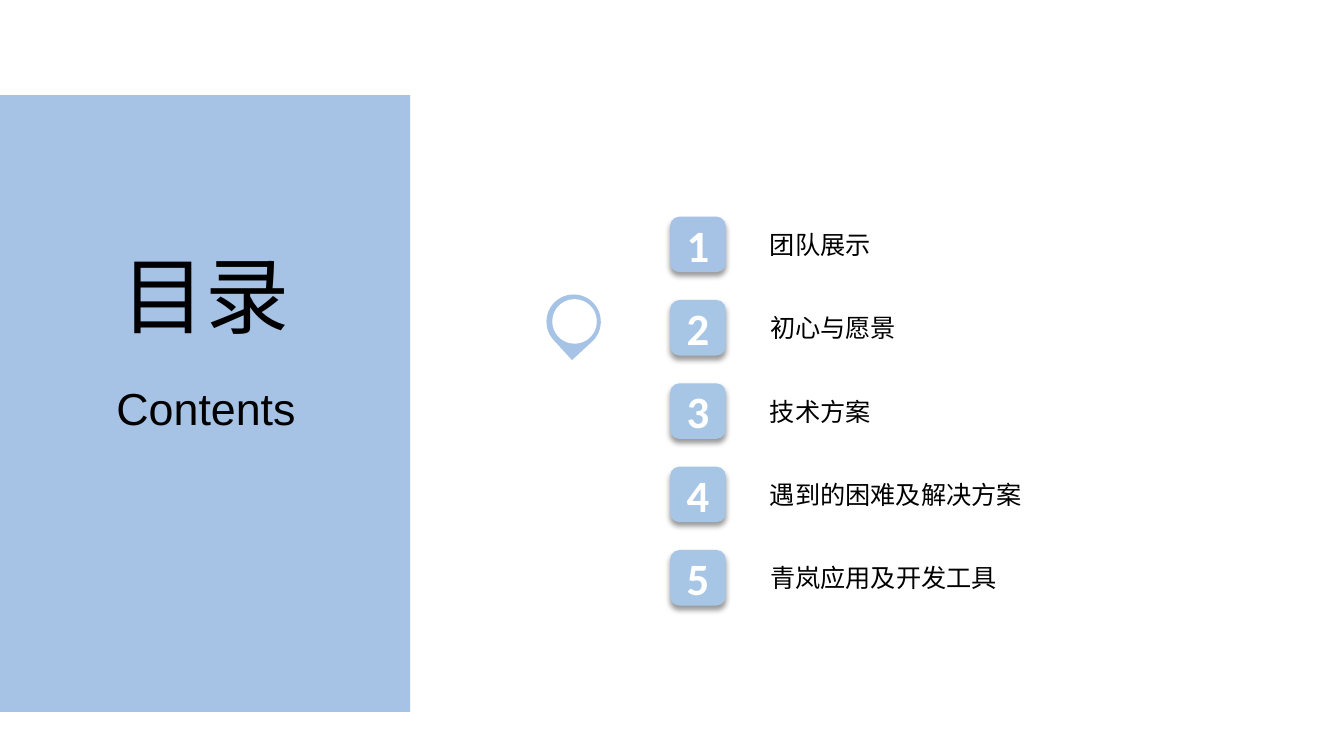
from lxml import etree
from pptx import Presentation
from pptx import util as u
from pptx.dml.color import RGBColor
from pptx.enum import shapes, text
from pptx.oxml.ns import qn

COLORS = {"panel": "A6C3E5", "badge": "A7C6E5", "white": "FFFFFF", "black": "000000"}
CJK = "Noto Sans CJK SC"
TOPICS = ["团队展示", "初心与愿景", "技术方案", "遇到的困难及解决方案", "青岚应用及开发工具"]


def write(frame, content, size, font=CJK, color="black", bold=False):
    """Write one centred paragraph into a text frame."""
    paragraph = frame.paragraphs[0]
    paragraph.alignment = text.PP_ALIGN.CENTER
    run = paragraph.add_run()
    run.text = content
    run.font.size = u.Pt(size)
    run.font.name = font
    run.font.bold = bold
    run.font.color.rgb = RGBColor.from_string(COLORS[color])
    east_asian = etree.SubElement(run.font._element, qn("a:ea"))
    east_asian.set("typeface", font)


def add_block(parent, kind, left, top, width, height, color):
    """Add a flat, borderless preset shape."""
    block = parent.add_shape(kind, u.Cm(left), u.Cm(top), u.Cm(width), u.Cm(height))
    block.fill.solid()
    block.fill.fore_color.rgb = RGBColor.from_string(COLORS[color])
    block.line.fill.background()
    block.shadow.inherit = False
    return block


def add_label(slide, content, left, top, width, height, size, font=CJK):
    """Add a one-line text box that fits its text."""
    box = slide.shapes.add_textbox(u.Cm(left), u.Cm(top), u.Cm(width), u.Cm(height))
    box.text_frame.word_wrap = False
    box.text_frame.auto_size = text.MSO_AUTO_SIZE.SHAPE_TO_FIT_TEXT
    write(box.text_frame, content, size, font)


def add_drop_shadow(block):
    """Give a shape a soft shadow straight below it."""
    effects = block._element.spPr.find(qn("a:effectLst"))
    shadow = etree.SubElement(
        effects, qn("a:outerShdw"), blurRad=str(u.Pt(4)), dist=str(u.Pt(3)),
        dir="5400000", algn="t", rotWithShape="0")
    tint = etree.SubElement(shadow, qn("a:srgbClr"), val=COLORS["black"])
    etree.SubElement(tint, qn("a:alpha"), val="40000")


def add_topic(slide, number, topic):
    """Add a numbered badge with its topic beside it."""
    top = 5.46 + 2.1 * (number - 1)
    badge = add_block(slide.shapes, shapes.MSO_SHAPE.ROUNDED_RECTANGLE,
                      16.89, top, 1.4, 1.4, "panel" if number == 1 else "badge")
    add_drop_shadow(badge)
    badge.text_frame.vertical_anchor = text.MSO_ANCHOR.MIDDLE
    write(badge.text_frame, str(number), 32, "Calibri", "white", bold=True)
    add_label(slide, topic, 19.15, top + 0.19, 0.51 + 0.635 * len(topic), 1.02, 18)


def add_pin(slide):
    """Add the map pin as a group of a drop and its hole."""
    pin = slide.shapes.add_group_shape()
    drop = add_block(pin.shapes, shapes.MSO_SHAPE.TEAR, 13.77, 7.42, 1.37, 1.37, "panel")
    drop.rotation = 137.5
    add_block(pin.shapes, shapes.MSO_SHAPE.OVAL, 13.92, 7.54, 1.12, 1.12, "white")


def main():
    """Build the contents slide."""
    deck = Presentation()
    deck.slide_width, deck.slide_height = u.Cm(33.87), u.Cm(19.05)
    slide = deck.slides.add_slide(deck.slide_layouts[6])
    add_block(slide.shapes, shapes.MSO_SHAPE.RECTANGLE, 0, 2.4, 10.34, 15.54, "panel")
    for number, topic in enumerate(TOPICS, 1):
        add_topic(slide, number, topic)
    add_label(slide, "目录", 2.8, 6, 4.75, 2.82, 60)
    add_label(slide, "Contents", 2.68, 9.48, 5.03, 1.62, 32, "Arial")
    add_pin(slide)
    deck.save("out.pptx")


if __name__ == "__main__":
    main()
